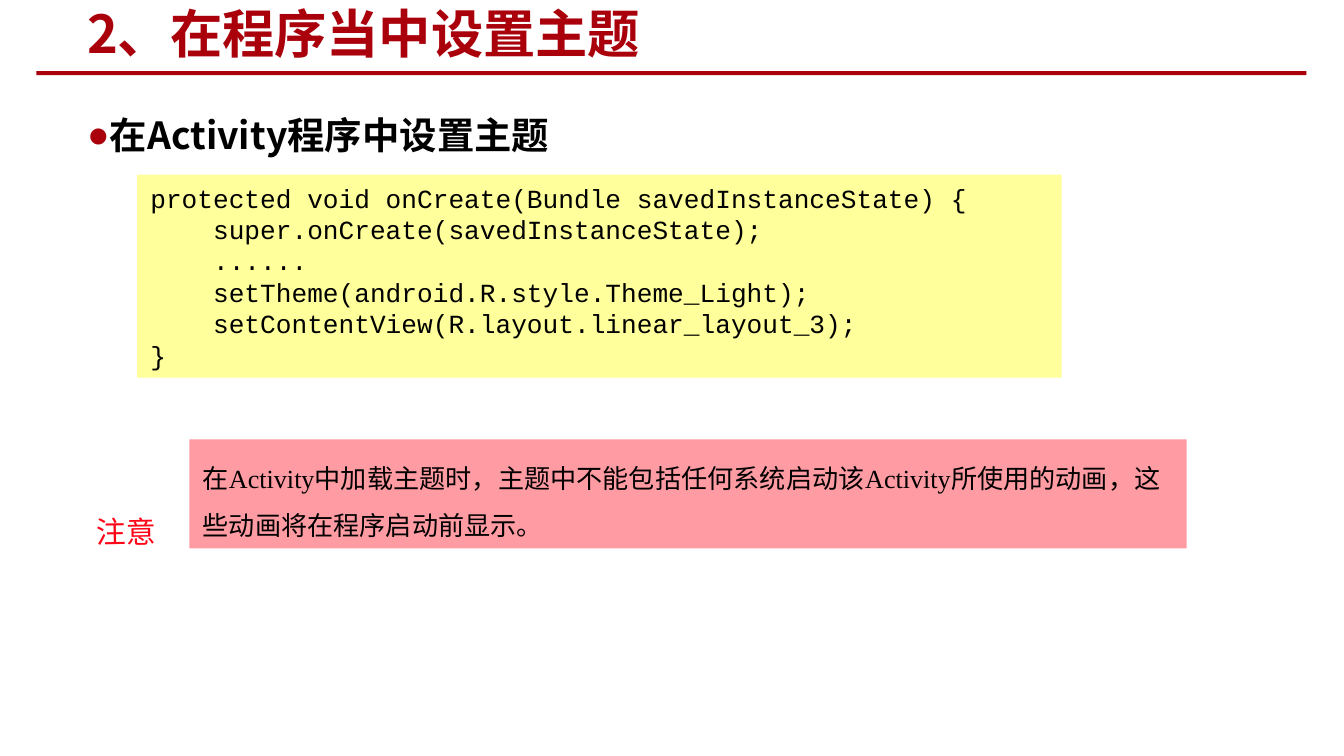
import pptx
import pptx.util
import pptx.dml.color
import pptx.enum.shapes
import pptx.enum.text
import pptx.oxml
import pptx.oxml.ns

Inches = pptx.util.Inches
Color = pptx.dml.color.RGBColor
MIDDLE = pptx.enum.text.MSO_ANCHOR.MIDDLE

CRIMSON = Color(0xAA, 0x00, 0x0B)
BLACK = Color(0x00, 0x00, 0x00)
YELLOW = Color(0xFF, 0xFF, 0x9B)
PINK = Color(0xFF, 0x9B, 0xA2)
RED = Color(0xFF, 0x05, 0x17)

SANS = "Noto Sans CJK SC"
SERIF = "Times New Roman"
MONO = "Courier New"

CODE = """protected void onCreate(Bundle savedInstanceState) {
    super.onCreate(savedInstanceState);
    ......
    setTheme(android.R.style.Theme_Light);
    setContentView(R.layout.linear_layout_3);
}"""


def add_panel(parent, box, fill):
    """Add a plain filled rectangle."""
    kind = pptx.enum.shapes.MSO_SHAPE.RECTANGLE
    panel = parent.shapes.add_shape(kind, *map(Inches, box))
    panel.shadow.inherit = False
    panel.fill.solid()
    panel.fill.fore_color.rgb = fill
    panel.line.fill.background()
    return panel


def add_label(parent, box):
    """Add an empty text box."""
    return parent.shapes.add_textbox(*map(Inches, box))


def add_text(shape, lines, font, size, color, bold=False, space=None):
    """Write one left-aligned paragraph per line and return the first."""
    frame = shape.text_frame
    frame.word_wrap = True
    for index, line in enumerate(lines):
        para = frame.add_paragraph() if index else frame.paragraphs[0]
        para.alignment = pptx.enum.text.PP_ALIGN.LEFT
        para.line_spacing = space
        run = para.add_run()
        run.text = line
        run.font.name = font
        run.font.size = pptx.util.Pt(size)
        run.font.bold = bold
        run.font.color.rgb = color
        asian = pptx.oxml.parse_xml(
            f'<a:ea {pptx.oxml.ns.nsdecls("a")} typeface="{SANS}"/>')
        run.font._element.find(pptx.oxml.ns.qn("a:latin")).addnext(asian)
    return frame.paragraphs[0]


def add_bullet(para, color):
    """Put a coloured round bullet before a paragraph."""
    props = para._p.get_or_add_pPr()
    props.set("marL", "0")
    props.set("indent", str(Inches(-0.38)))
    space = pptx.oxml.ns.nsdecls("a")
    for part in (f'<a:buClr {space}><a:srgbClr val="{color}"/></a:buClr>',
                 f'<a:buFont {space} typeface="{SERIF}"/>',
                 f'<a:buChar {space} char="●"/>'):
        props.append(pptx.oxml.parse_xml(part))


def add_header(slide, left, top):
    """Add the title and the rule under it."""
    add_panel(slide, (left, top + 0.51, 9.45, 0.03), CRIMSON)
    title = add_label(slide, (left + 0.28, top, 6.64, 0.45))
    title.text_frame.vertical_anchor = MIDDLE
    add_text(title, ["2、在程序当中设置主题"], SANS, 28, CRIMSON, True)


def add_body(slide, left, top):
    """Add the bulleted heading and the code panel."""
    body = add_label(slide, (left, top, 8.98, 4.14))
    para = add_text(body, ["在Activity程序中设置主题"], SANS, 20, BLACK, True, 1.5)
    add_bullet(para, CRIMSON)
    panel = add_panel(slide, (left + 0.47, top + 0.68, 6.88, 1.51), YELLOW)
    panel.text_frame.vertical_anchor = MIDDLE
    add_text(panel, CODE.split("\n"), MONO, 14, BLACK)


def add_note(slide, left, top):
    """Add the group of a tilted caution label and its note panel."""
    group = slide.shapes.add_group_shape()
    label = add_label(group, (left, top + 0.5, 0.7, 0.37))
    label.rotation = 359
    add_text(label, ["注意"], SANS, 16, RED)
    panel = add_panel(group, (left + 0.79, top, 7.42, 0.81), PINK)
    panel.text_frame.vertical_anchor = MIDDLE
    note = ("在Activity中加载主题时，主题中不能包括任何系统启动该Activity"
            "所使用的动画，这些动画将在程序启动前显示。")
    add_text(panel, [note], SERIF, 14, BLACK, space=1.5)


def main():
    """Build and save the slide."""
    deck = pptx.Presentation()
    deck.slide_width = Inches(10)
    deck.slide_height = deck.slide_width * 9 // 16
    slide = deck.slides.add_slide(deck.slide_layouts[6])
    add_header(slide, 0.27, 0.02)
    add_body(slide, 0.55, 0.62)
    add_note(slide, 0.62, 3.27)
    deck.save("out.pptx")


if __name__ == "__main__":
    main()
